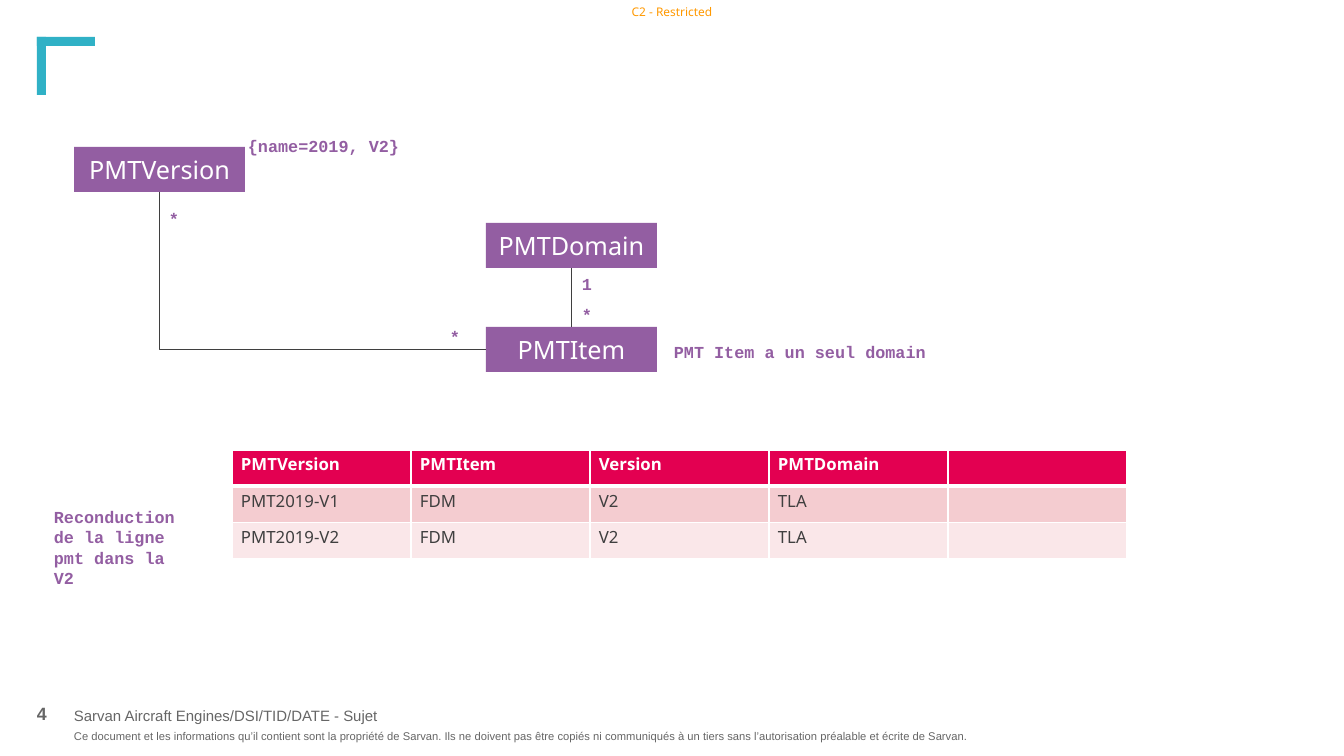
from lxml.etree import SubElement
from pptx import Presentation
from pptx.dml.color import RGBColor
from pptx.enum.shapes import MSO_CONNECTOR as LINK, MSO_SHAPE as SHAPE
from pptx.enum.text import MSO_ANCHOR as ANCHOR, PP_ALIGN as ALIGN
from pptx.oxml.ns import qn
from pptx.util import Pt

# Content: places are left, top, width, height in pixels
SCALE = 914400 / 100.8
COLOR = {"purple": "935EA2", "teal": "30B1C6", "orange": "FF9900", "gray": "666666",
         "dark": "3F3F3F", "white": "FFFFFF", "red": "E30051",
         "pink": "F4CCD0", "pale": "FAE7E9"}
BODY, MONO, FOOT = "Noto Sans", "Courier New", "Arial"

CORNER_BARS = [(37, 37, 9, 58), (37, 37, 58, 9)]
CLASS_SIZE = (171, 45)
CLASSES = {"PMTVersion": (74, 147), "PMTDomain": (486, 223), "PMTItem": (486, 327)}
NOTES = [
    ("{name=2019, V2}", (238, 131, 174, 30)),
    ("*", (159, 204, 30, 30)),
    ("*", (440, 322, 30, 30)),
    ("*", (572, 300, 30, 30)),
    ("1", (572, 269, 30, 30)),
    ("PMT Item a un seul domain", (664, 337, 287, 30)),
    ("Reconduction de la ligne pmt dans la V2", (44, 502, 157, 92)),
]
FOOTERS = [
    ("Ce document et les informations qu’il contient sont la propriété de Sarvan. "
     "Ils ne doivent pas être copiés ni communiqués à un tiers sans l’autorisation "
     "préalable et écrite de Sarvan.", (74, 729, 1053, 27), 8, False, ANCHOR.TOP),
    ("Sarvan Aircraft Engines/DSI/TID/DATE - Sujet",
     (74, 693, 1053, 31), 10.7, False, ANCHOR.BOTTOM),
    ("4", (37, 693, 34, 31), 12.7, True, ANCHOR.BOTTOM),
]
VERSIONS = [
    ("PMTVersion", "PMTItem", "Version", "PMTDomain", ""),
    ("PMT2019-V1", "FDM", "V2", "TLA", ""),
    ("PMT2019-V2", "FDM", "V2", "TLA", ""),
]
ROW_STYLES = [("red", "white", True), ("pink", "dark", False), ("pale", "dark", False)]
TABLE_LEFT, TABLE_TOP, COLUMN, ROW = 232, 450, 179, 30


def px(*lengths):
    return [round(length * SCALE) for length in lengths]


def rgb(name):
    return RGBColor.from_string(COLOR[name])


def write(frame, text, face, size, color, bold=False, align=ALIGN.LEFT):
    paragraph = frame.paragraphs[0]
    paragraph.text = text
    paragraph.alignment = align
    font = paragraph.font
    font.name, font.size, font.bold = face, Pt(size), bold
    font.color.rgb = rgb(color)


def add_text(place, text, *style, inset=None, anchor=ANCHOR.TOP, **more):
    frame = slide.shapes.add_textbox(*px(*place)).text_frame
    frame.word_wrap = True
    frame.vertical_anchor = anchor
    if inset is not None:
        frame.margin_left = frame.margin_right = inset
        frame.margin_top = frame.margin_bottom = inset
    write(frame, text, *style, **more)


def add_block(place, color):
    block = slide.shapes.add_shape(SHAPE.RECTANGLE, *px(*place))
    block.shadow.inherit = False
    block.fill.solid()
    block.fill.fore_color.rgb = rgb(color)
    block.line.fill.background()
    return block


def link(kind, source, source_site, target, target_site):
    line = slide.shapes.add_connector(kind, 0, 0, 0, 0)
    line.begin_connect(source, source_site)
    line.end_connect(target, target_site)
    line.line.color.rgb = rgb("dark")
    line.line.width = Pt(0.75)
    SubElement(line._element.spPr, qn("a:effectLst"))
    return line


def border(cell, side, width):
    edge = SubElement(cell._tc.get_or_add_tcPr(), qn(f"a:{side}"), w=str(Pt(width)))
    fill = SubElement(edge, qn("a:solidFill"))
    SubElement(fill, qn("a:srgbClr"), val=COLOR["white"])


deck = Presentation()
deck.slide_width, deck.slide_height = px(1344, 756)
slide = deck.slides.add_slide(deck.slide_layouts[6])

# Page frame
for text, place, size, bold, anchor in FOOTERS:
    add_text(place, text, FOOT, size, "gray", bold=bold, inset=0, anchor=anchor)
for place in CORNER_BARS:
    add_block(place, "teal")
add_text((0, 0, 1344, 24), "C2 - Restricted", BODY, 8.5, "orange", align=ALIGN.CENTER)

# Class boxes
boxes = {}
for name, corner in CLASSES.items():
    boxes[name] = add_block(corner + CLASS_SIZE, "purple")
    frame = boxes[name].text_frame
    frame.vertical_anchor = ANCHOR.MIDDLE
    write(frame, name, BODY, 18, "white", align=ALIGN.CENTER)

# Associations: connection sites are 1 left, 2 bottom, 0 top
link(LINK.STRAIGHT, boxes["PMTDomain"], 2, boxes["PMTItem"], 0)
bend = link(LINK.ELBOW, boxes["PMTVersion"], 2, boxes["PMTItem"], 1)
bend._element.spPr.find(qn("a:prstGeom")).set("prst", "bentConnector2")
# A quarter turn makes the bend go down first, then right
run, drop = bend.width, bend.height
bend.left += (run - drop) // 2
bend.top += (drop - run) // 2
bend.width, bend.height = drop, run
turn = bend._element.spPr.find(qn("a:xfrm"))
turn.set("rot", str(270 * 60000))
turn.set("flipH", "1")

# Multiplicities and remarks
for text, place in NOTES:
    add_text(place, text, MONO, 12, "purple", bold=True)

# Version table
rows, columns = len(VERSIONS), len(VERSIONS[0])
table = slide.shapes.add_table(
    rows, columns, *px(TABLE_LEFT, TABLE_TOP, columns * COLUMN, rows * ROW)).table
for column in table.columns:
    column.width = px(COLUMN)[0]
for r, (values, (fill, ink, bold)) in enumerate(zip(VERSIONS, ROW_STYLES)):
    table.rows[r].height = px(ROW)[0]
    for c, value in enumerate(values):
        cell = table.cell(r, c)
        cell.margin_left, cell.margin_right, cell.margin_top, cell.margin_bottom = px(9, 9, 3, 3)
        write(cell.text_frame, value, BODY, 12, ink, bold)
        if not value:
            cell.text_frame.paragraphs[0].add_run().font.size = Pt(12)
        for side in ("lnL", "lnR", "lnT", "lnB"):
            heavy = (r, side) in ((0, "lnB"), (1, "lnT"))
            border(cell, side, 3 if heavy else 1)
        cell.fill.solid()
        cell.fill.fore_color.rgb = rgb(fill)

deck.save("out.pptx")
